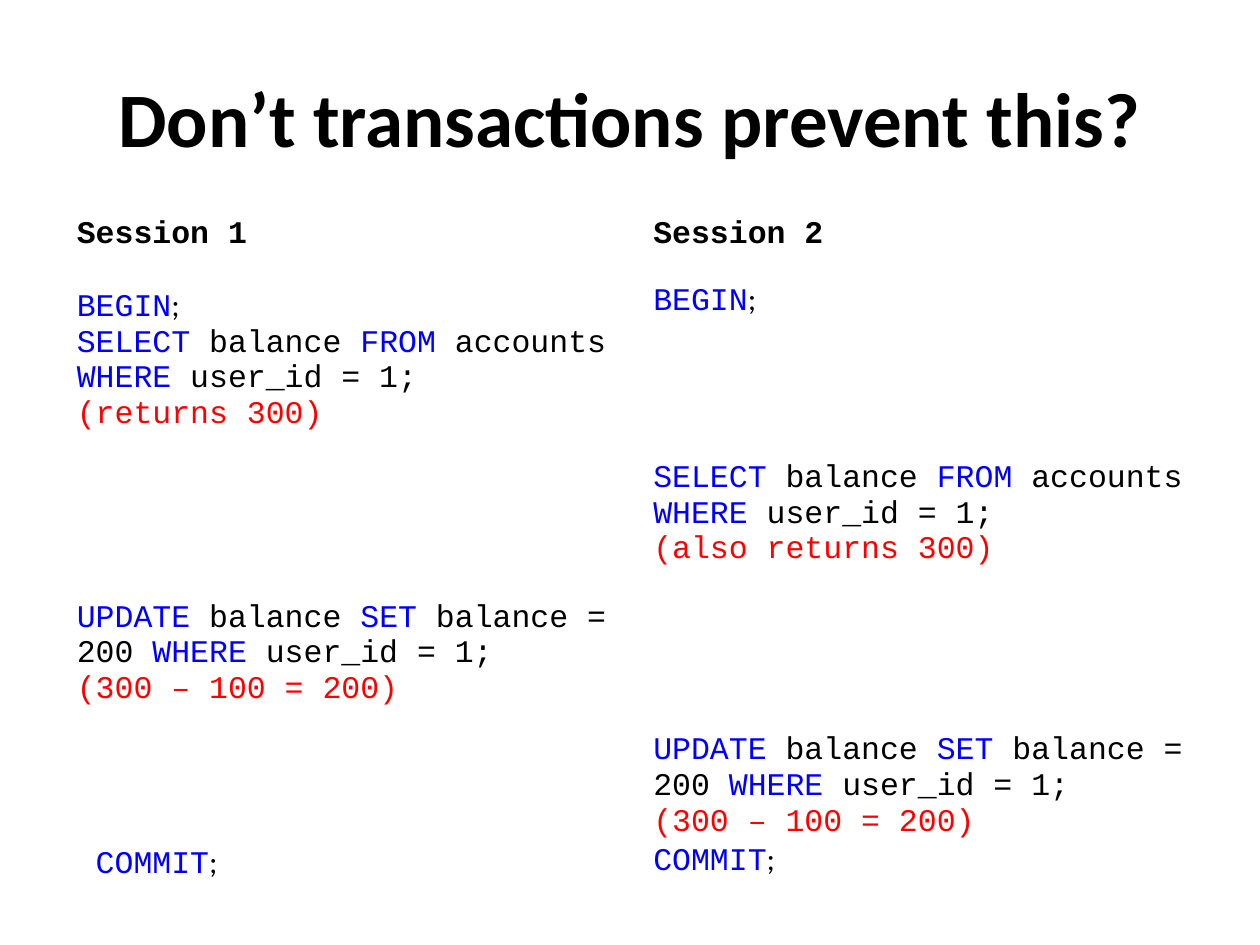
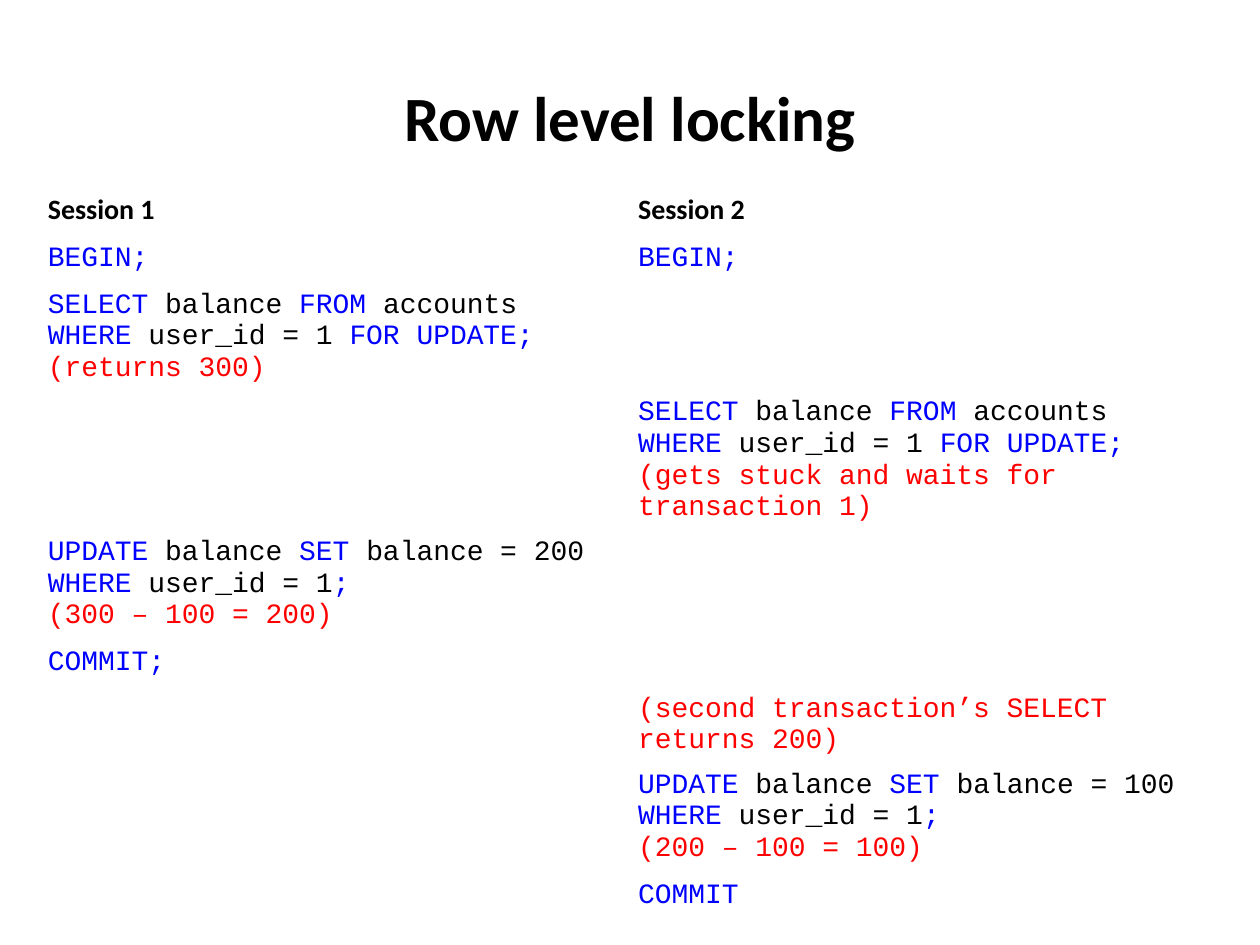
from pptx import Presentation
from pptx.dml.color import RGBColor
from pptx.enum.text import MSO_ANCHOR, PP_ALIGN
from pptx.oxml.ns import qn
from pptx.util import Inches, Pt

BLACK = RGBColor(0x00, 0x00, 0x00)
BLUE = RGBColor(0x00, 0x00, 0xFF)
RED = RGBColor(0xFF, 0x00, 0x00)
SANS = "Calibri"
MONO = "Courier New"
TOP, MIDDLE, BOTTOM = MSO_ANCHOR.TOP, MSO_ANCHOR.MIDDLE, MSO_ANCHOR.BOTTOM
CENTER = PP_ALIGN.CENTER
TITLE_ONLY = 5
PLAIN_TABLE = "{2D5ABB26-0587-4C30-8999-92F81FD0307C}"


def write(para, text, size, font=MONO, color=BLACK, bold=False):
    span = para.add_run()
    span.text = text
    span.font.size = Pt(size)
    span.font.name = font
    span.font.bold = bold
    span.font.color.rgb = color


def sql(marked):
    return [(text, {"color": BLACK if i % 2 else BLUE})
            for i, text in enumerate(marked.split("|"))]


def note(text):
    return [(text, {"color": RED})]


def heading(number, font):
    return [[(f"Session {number}", {"font": font, "bold": True})]]


def command(word):
    return sql(word) + [(";", {"font": SANS})]


class Deck:
    def __init__(self):
        self.deck = Presentation()
        self.deck.slide_width = Inches(10)
        self.deck.slide_height = Inches(7.5)
        self.page = None

    def add_page(self, title, size):
        self.page = self.deck.slides.add_slide(self.deck.slide_layouts[TITLE_ONLY])
        box = self.page.shapes.title
        box.left, box.top = Inches(0.5), Inches(0.3)
        box.width, box.height = Inches(9), Inches(1.25)
        box.text_frame.vertical_anchor = MIDDLE
        para = box.text_frame.paragraphs[0]
        para.alignment = CENTER
        write(para, title, size, font=SANS, bold=True)

    def add_sessions(self, left, top, width, height, row_heights, rows, size, anchors):
        frame = self.page.shapes.add_table(
            len(rows), 2, Inches(left), Inches(top), Inches(width), Inches(height))
        table = frame.table
        table.first_row = table.horz_banding = False
        table._tbl.tblPr.find(qn("a:tableStyleId")).text = PLAIN_TABLE
        for row, row_height in zip(table.rows, row_heights):
            row.height = Inches(row_height)
        frame.height = Inches(height)
        for r, row in enumerate(rows):
            for c, paragraphs in enumerate(row):
                self.fill_cell(table.cell(r, c), paragraphs, size,
                               anchors.get((r, c), MIDDLE))

    def fill_cell(self, cell, paragraphs, size, anchor):
        cell.fill.background()
        cell.vertical_anchor = anchor
        cell.margin_left = cell.margin_right = Inches(0.1)
        cell.margin_top = cell.margin_bottom = Inches(0.05)
        frame = cell.text_frame
        if not paragraphs:
            end = frame.paragraphs[0]._p.get_or_add_endParaRPr()
            end.set("sz", str(size * 100))
        for i, spans in enumerate(paragraphs):
            para = frame.add_paragraph() if i else frame.paragraphs[0]
            for text, style in spans:
                write(para, text, size, **style)

    def save(self):
        self.deck.save("out.pptx")


EMPTY = []
READ = sql("SELECT| balance |FROM| accounts |WHERE |user_id = 1; ")
UPDATE = [sql("UPDATE| balance |SET| balance = 200 |WHERE |user_id = 1; "),
          note("(300 – 100 = 200)")]
LOCKING_READ = sql("SELECT |balance| FROM |accounts| WHERE |user_id = 1 |FOR UPDATE; ")


def locking_update(before, after):
    return [sql(f"UPDATE |balance| SET |balance = {after} |WHERE |user_id = 1|; "),
            note(f"({before} – 100 = {after})")]


deck = Deck()

deck.add_page("Don’t transactions prevent this?", 44)
deck.add_sessions(
    0.51, 1.55, 9.15, 5.51, [0.63, 1.35, 1.11, 1.11, 1.31],
    [
        (heading(1, MONO), heading(2, MONO)),
        ([command("BEGIN"), READ, note("(returns 300)")], [command("BEGIN")]),
        (EMPTY, [READ, note("(also returns 300)")]),
        (UPDATE, EMPTY),
        ([[("\u00a0", {})] + command("COMMIT")], UPDATE + [command("COMMIT")]),
    ],
    18, {(1, 1): TOP, (4, 0): BOTTOM})

deck.add_page("Row level locking", 36)
deck.add_sessions(
    0.28, 1.47, 9.37, 6.04, [0.39, 0.39, 0.68, 0.97, 0.68, 0.39, 0.39, 0.68, 0.39],
    [
        (heading(1, SANS), heading(2, SANS)),
        ([sql("BEGIN;")], [sql("BEGIN;")]),
        ([LOCKING_READ + note("(returns 300)")], EMPTY),
        (EMPTY, [LOCKING_READ + note("(gets stuck and waits for transaction 1)")]),
        (locking_update(300, 200), EMPTY),
        ([sql("COMMIT;")], EMPTY),
        (EMPTY, [note("(second transaction’s SELECT returns 200)")]),
        (EMPTY, locking_update(200, 100)),
        (EMPTY, [sql("COMMIT")]),
    ],
    16, {})

deck.save()
